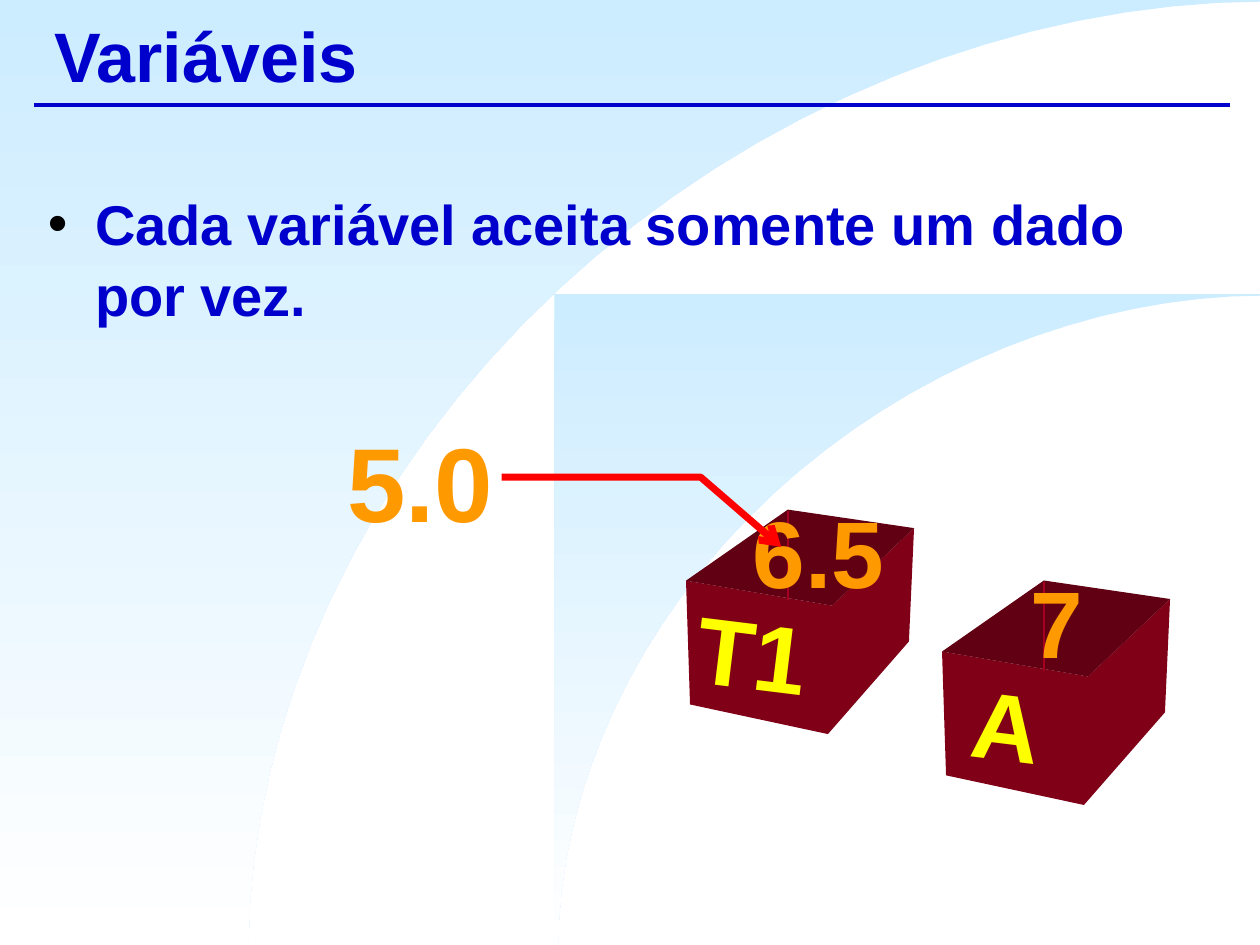
from math import cos, pi, sin

from lxml import etree
from pptx import Presentation
from pptx.dml.color import RGBColor
from pptx.enum import shapes, text
from pptx.oxml.ns import qn
from pptx.util import Pt

BLUE = RGBColor(0x00, 0x00, 0xCC)
SKY = RGBColor(0xCC, 0xEC, 0xFF)
WHITE = RGBColor(0xFF, 0xFF, 0xFF)
ORANGE = RGBColor(0xFF, 0x99, 0x00)
YELLOW = RGBColor(0xFF, 0xFF, 0x00)
RED = RGBColor(0xFF, 0x00, 0x00)
EDGE = RGBColor(0xA5, 0x00, 0x21)
SIDE = RGBColor(0x80, 0x00, 0x18)
INSIDE = RGBColor(0x60, 0x00, 0x12)

WIDTH, HEIGHT = 720, 540

deck = Presentation()
deck.slide_width, deck.slide_height = Pt(WIDTH), Pt(HEIGHT)
page = deck.slides.add_slide(deck.slide_layouts[6])


def add_text(words, left, top, width, height, size=54, color=ORANGE, rotation=0,
             align=text.PP_ALIGN.CENTER, anchor=text.MSO_ANCHOR.BOTTOM, wrap=False):
    box = page.shapes.add_textbox(Pt(left), Pt(top), Pt(width), Pt(height))
    box.rotation = rotation
    frame = box.text_frame
    frame.word_wrap = wrap
    frame.vertical_anchor = anchor
    para = frame.paragraphs[0]
    para.alignment = align
    para.line_spacing = 1.06
    span = para.add_run()
    span.text = words
    span.font.name = "Arial"
    span.font.size = Pt(size)
    span.font.bold = True
    span.font.color.rgb = color
    return para


def add_outline(points, fill=None, close=True):
    """Draw a borderless freeform through points; without fill it stays hollow."""
    corners = [(Pt(x), Pt(y)) for x, y in points]
    builder = page.shapes.build_freeform(*corners[0])
    builder.add_line_segments(corners[1:], close=close)
    shape = builder.convert_to_shape()
    shape.shadow.inherit = False
    shape.line.fill.background()
    if fill is None:
        shape.fill.background()
    else:
        shape.fill.solid()
        shape.fill.fore_color.rgb = fill
    return shape


# Background: the area outside a quarter superellipse, faded downwards
STEPS, ROUNDNESS = 32, 1.9
for left, top, radius_x, radius_y in [(0, 0, 578, 539), (316.8, 167.8, 401, 371)]:
    angles = [step * pi / 2 / STEPS for step in range(STEPS)]
    curve = [(WIDTH - radius_x * cos(a) ** (2 / ROUNDNESS),
              HEIGHT - radius_y * sin(a) ** (2 / ROUNDNESS)) for a in angles]
    curve.append((WIDTH, HEIGHT - radius_y))
    sweep = add_outline(curve + [(WIDTH, top), (left, top), (left, HEIGHT)], SKY)
    sweep.fill.gradient()
    sweep.fill.gradient_angle = 270
    for stop, color, position in zip(sweep.fill.gradient_stops, (SKY, WHITE), (0, 1)):
        stop.color.rgb = color
        stop.position = position

# Title, rule and bullet
lines = [(19.7, 60.2, 702.7, 60.2, BLUE, 2.25)]
add_text("Variáveis", 23.8, 0, 678, 59.8, size=40, color=BLUE, wrap=True,
         align=text.PP_ALIGN.LEFT, anchor=text.MSO_ANCHOR.MIDDLE)
bullet = add_text("Cada variável aceita somente um dado por vez.", 20.2, 102.2, 682, 378,
                  size=32, color=BLUE, wrap=True,
                  align=text.PP_ALIGN.LEFT, anchor=text.MSO_ANCHOR.TOP)
properties = bullet._p.get_or_add_pPr()
properties.set("marL", str(Pt(27)))
properties.set("indent", str(-Pt(27)))
bullet_color = etree.SubElement(properties, qn("a:buClr"))
etree.SubElement(bullet_color, qn("a:srgbClr"), val="000000")
etree.SubElement(properties, qn("a:buFont"), typeface="Arial")
etree.SubElement(properties, qn("a:buChar"), char="•")

# Open boxes, each with a name on the front and a value inside
RIM = [(0, 40.6), (58.2, 0), (130.3, 10.6), (83.4, 54.9)]
BODY = [(0, 40.6), (83.4, 54.9), (130.3, 10.6), (127.4, 75.4), (81.1, 128.3), (2.3, 111.4)]
boxes = [
    (392, 291.2, ("T1", 389.5, 335.5, 81.4), ("6.5", 422.6, 277.9, 90)),
    (538.3, 331.7, ("A", 548.6, 376.6, 54), ("7", 581.8, 318.2, 44.6)),
]
for box_x, box_y, (name, *name_place), (value, *value_place) in boxes:
    for points, color in [(BODY, SIDE), (RIM, INSIDE)]:
        add_outline([(box_x + x, box_y + y) for x, y in points], color)
    lines.append((box_x + 58.2, box_y + 1, box_x + 58.2, box_y + 51.5, EDGE, 1))

for x1, y1, x2, y2, color, weight in lines:
    line = page.shapes.add_connector(shapes.MSO_CONNECTOR.STRAIGHT,
                                     Pt(x1), Pt(y1), Pt(x2), Pt(y2))
    line.line.color.rgb = color
    line.line.width = Pt(weight)
    etree.SubElement(line._element.spPr, qn("a:effectLst"))

for box_x, box_y, (name, *name_place), (value, *value_place) in boxes:
    add_text(name, *name_place, 72.7, color=YELLOW, rotation=7)
    add_text(value, *value_place, 72.7)

# New value on its way into T1
arrow = add_outline([(286.6, 272.6), (400.3, 272.6), (446.4, 312.5)], close=False)
arrow.line.color.rgb = RED
arrow.line.width = Pt(4)
etree.SubElement(arrow.line._get_or_add_ln(), qn("a:tailEnd"), type="arrow")
add_text("5.0", 190.8, 234, 98.6, 79.9, size=60)

deck.save("out.pptx")
